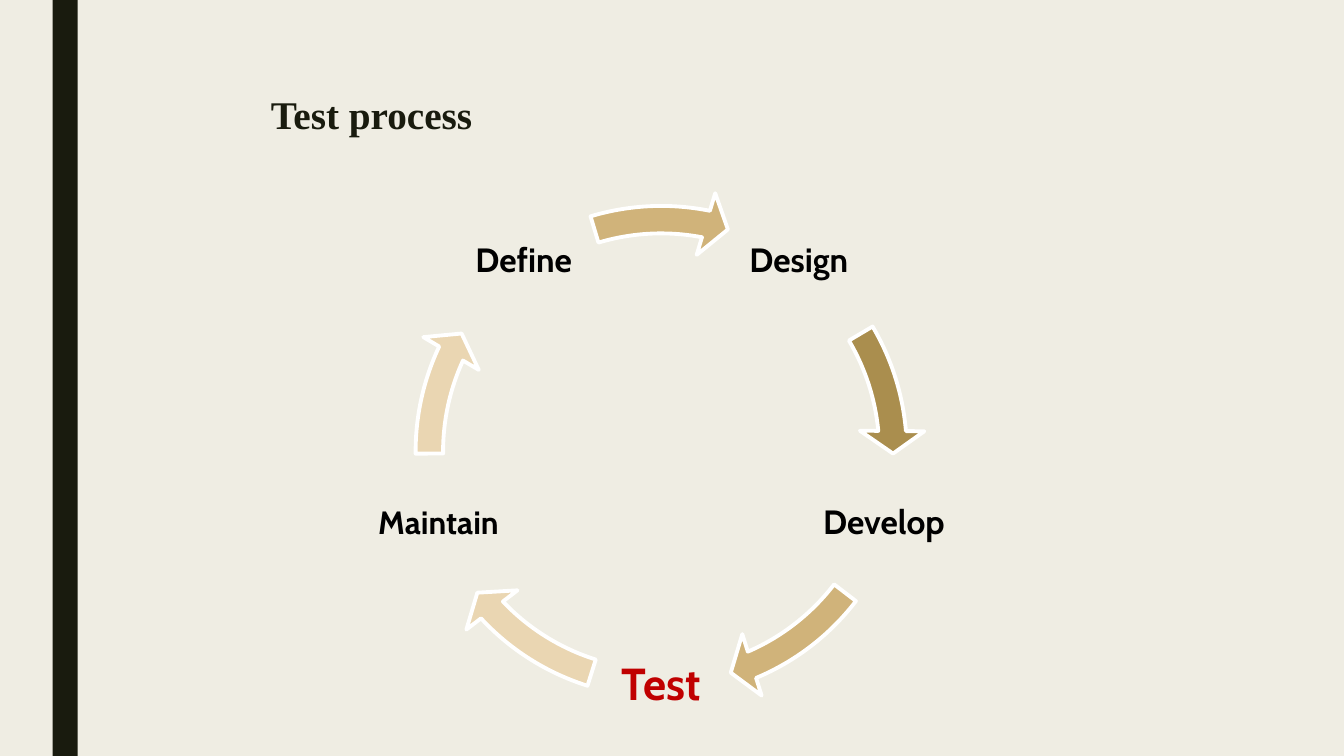
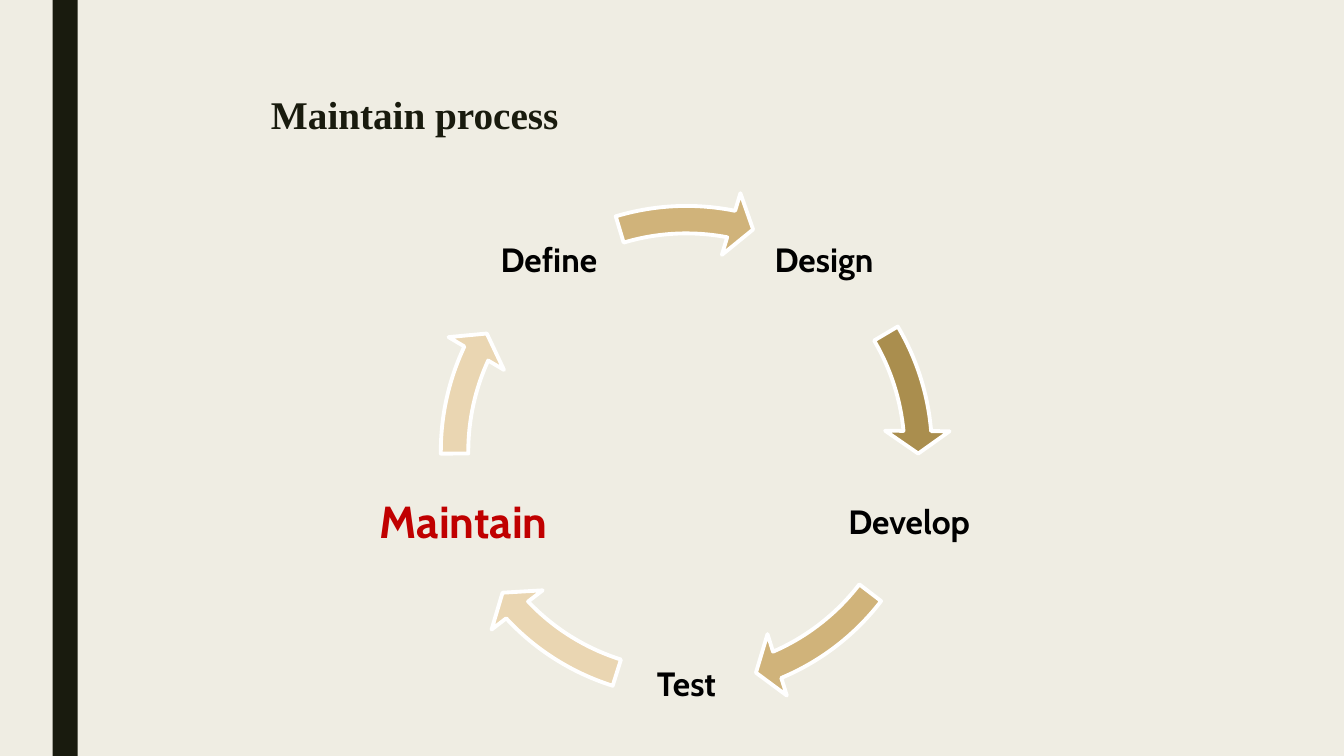
from math import cos, radians, sin

from pptx import Presentation
from pptx.dml.color import RGBColor
from pptx.enum.shapes import MSO_SHAPE
from pptx.enum.text import MSO_ANCHOR, PP_ALIGN
from pptx.util import Pt

# Content: each slide highlights one stage of the same cycle
SLIDES = [
    {"title": "Test process", "highlight": "Test", "center_x": 472.3,
     "sizes": {"Maintain": 23}},
    {"title": "Maintain process", "highlight": "Maintain", "center_x": 490.3,
     "sizes": {}},
]
# Stage, then the start angle, end angle and colour of the arrow leaving it
STAGES = [
    ("Design", 329.41, 354.92, "AA8E4E"),
    ("Develop", 37.53, 66.95, "D0B37A"),
    ("Test", 107.46, 136.89, "EAD6B2"),
    ("Maintain", 179.49, 205, "EAD6B2"),
    ("Define", 253.28, 281.13, "D0B37A"),
]

# Shared style
BACKGROUND, DARK, BLACK, WHITE, RED = "EFEDE3", "191B0E", "000000", "FFFFFF", "C00000"
TITLE_FONT, LABEL_FONT = "Times New Roman", "Cabin"
LABEL_SIZE, HIGHLIGHT_SIZE = 24, 32

# Cycle geometry in points and degrees
CENTER_Y = 322.5
ARROW_DIAMETER = 377.2
LABEL_RADIUS = 167.2
LABEL_HEIGHT = 100
FIRST_ANGLE, STEP = -54, 360 / len(STAGES)
LABEL_WIDTHS = {"Develop": 120}
HIGHLIGHT_WIDTHS = {"Maintain": 171}
ARROW_THICKNESS, HEAD_WIDTH, HEAD_ANGLE = 0.052, 0.061, 5.59
DEGREE = 0.6  # one degree as an adjustment value


def color(value):
    return RGBColor.from_string(value)


def set_font(paragraph, name, size, value):
    font = paragraph.font
    font.name, font.size, font.bold = name, Pt(size), True
    font.color.rgb = color(value)


def add_shape(shapes, kind, left, top, width, height, fill):
    shape = shapes.add_shape(kind, Pt(left), Pt(top), Pt(width), Pt(height))
    shape.shadow.inherit = False
    shape.fill.solid()
    shape.fill.fore_color.rgb = color(fill)
    shape.line.fill.background()
    return shape


def add_text(shapes, text, left, top, width, height, anchor):
    frame = shapes.add_textbox(Pt(left), Pt(top), Pt(width), Pt(height)).text_frame
    frame.word_wrap = True
    frame.vertical_anchor = anchor
    frame.text = text
    return frame


def add_label(shapes, text, center_x, center_y, width, size, value):
    frame = add_text(shapes, text, center_x - width / 2, center_y - LABEL_HEIGHT / 2,
                     width, LABEL_HEIGHT, MSO_ANCHOR.MIDDLE)
    inset = Pt(size / 10)
    frame.margin_left = frame.margin_right = inset
    frame.margin_top = frame.margin_bottom = inset
    paragraph = frame.paragraphs[0]
    paragraph.alignment = PP_ALIGN.CENTER
    paragraph.line_spacing = 0.9
    set_font(paragraph, LABEL_FONT, size, value)


def add_arrow(shapes, center_x, start, end, fill):
    radius = ARROW_DIAMETER / 2
    arrow = add_shape(shapes, MSO_SHAPE.CIRCULAR_ARROW, center_x - radius,
                      CENTER_Y - radius, ARROW_DIAMETER, ARROW_DIAMETER, fill)
    values = (ARROW_THICKNESS, HEAD_ANGLE * DEGREE, end * DEGREE, start * DEGREE, HEAD_WIDTH)
    for index, value in enumerate(values):
        arrow.adjustments[index] = value
    arrow.line.color.rgb = color(WHITE)
    arrow.line.width = Pt(2.75)


def add_cycle(slide, content):
    shapes = slide.shapes.add_group_shape().shapes
    center_x = content["center_x"]
    for index, (stage, start, end, fill) in enumerate(STAGES):
        angle = radians(FIRST_ANGLE + index * STEP)
        width = LABEL_WIDTHS.get(stage, 100)
        size, value = content["sizes"].get(stage, LABEL_SIZE), BLACK
        if stage == content["highlight"]:
            width = HIGHLIGHT_WIDTHS.get(stage, width)
            size, value = HIGHLIGHT_SIZE, RED
        add_label(shapes, stage, center_x + LABEL_RADIUS * cos(angle),
                  CENTER_Y + LABEL_RADIUS * sin(angle), width, size, value)
        add_arrow(shapes, center_x, start, end, fill)


def add_slide(presentation, content):
    slide = presentation.slides.add_slide(presentation.slide_layouts[6])
    # Side band
    add_shape(slide.shapes, MSO_SHAPE.RECTANGLE, 37.5, 0, 18, 540, DARK)
    add_cycle(slide, content)
    # Title
    frame = add_text(slide.shapes, content["title"], 186.5, 0, 643, 102, MSO_ANCHOR.BOTTOM)
    set_font(frame.paragraphs[0], TITLE_FONT, 28, DARK)


def main():
    presentation = Presentation()
    presentation.slide_width, presentation.slide_height = Pt(960), Pt(540)
    background = presentation.slide_master.background.fill
    background.solid()
    background.fore_color.rgb = color(BACKGROUND)
    for content in SLIDES:
        add_slide(presentation, content)
    presentation.save("out.pptx")


if __name__ == "__main__":
    main()
